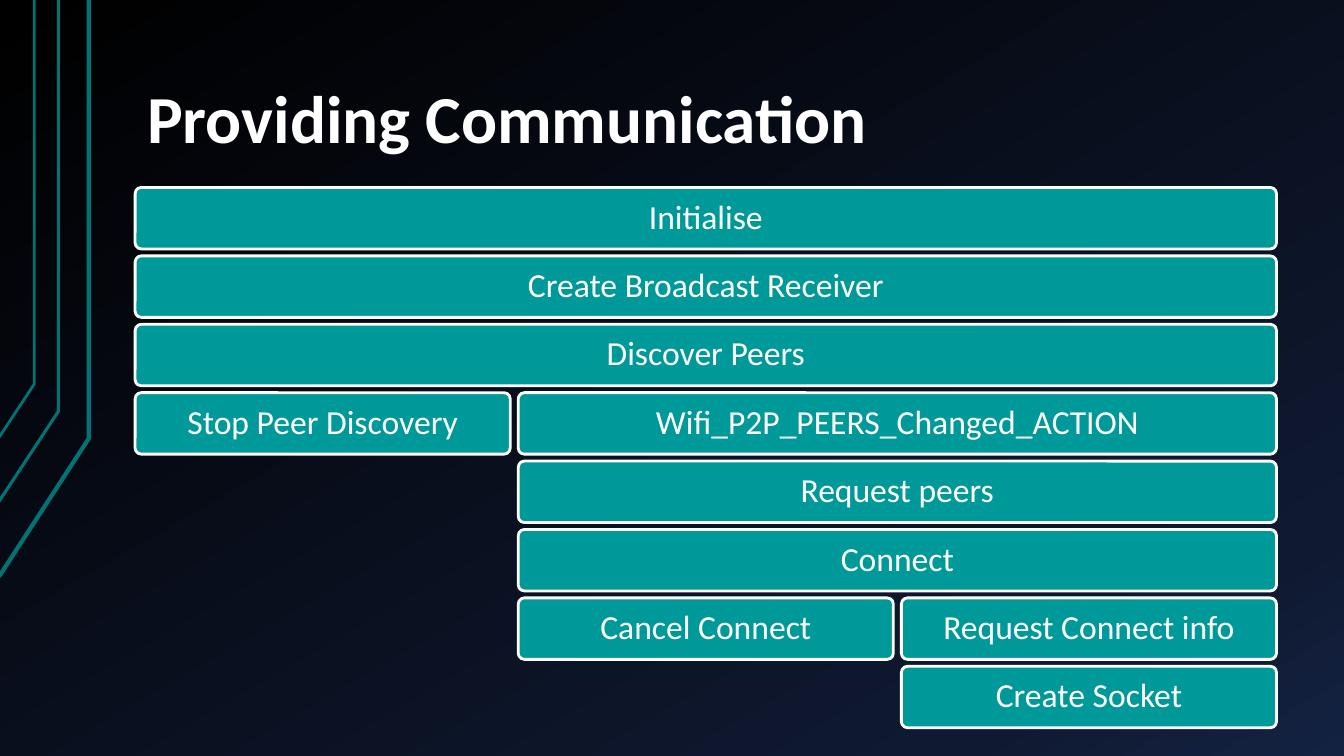
"""Build the 'Providing Communication' slide: a stepped block diagram on a dark gradient."""
from dataclasses import dataclass
from typing import Any

from lxml import etree
from pptx import Presentation
from pptx import util as u
from pptx.dml.color import RGBColor
from pptx.enum import shapes, text
from pptx.oxml import ns


@dataclass(frozen=True)
class Theme:
    font: str = "Calibri"
    white: str = "FFFFFF"
    block: str = "009999"
    accent: str = "007373"
    backdrop: tuple[tuple[int, str], ...] = ((0, "000000"), (85, "0F1931"), (100, "142242"))
    backdrop_angle: int = 300
    title_size: float = 48
    block_size: float = 24
    outline: float = 2


@dataclass(frozen=True)
class Block:
    label: str
    row: int
    column: int
    span: int


@dataclass(frozen=True)
class Trace:
    points: tuple[tuple[float, float], ...]
    weight: float


THEME = Theme()
LEFT, TOP = 1.34, 1.86
COLUMN_WIDTH, COLUMN_GAP = 3.72, 0.08
ROW_HEIGHT, ROW_PITCH = 0.61, 4.75 / 7

BLOCKS = (
    Block("Initialise", 0, 0, 3),
    Block("Create Broadcast Receiver", 1, 0, 3),
    Block("Discover Peers", 2, 0, 3),
    Block("Stop Peer Discovery", 3, 0, 1),
    Block("Wifi_P2P_PEERS_Changed_ACTION", 3, 1, 2),
    Block("Request peers", 4, 1, 2),
    Block("Connect", 5, 1, 2),
    Block("Cancel Connect", 6, 1, 1),
    Block("Request Connect info", 6, 2, 1),
    Block("Create Socket", 7, 2, 1),
)

TRACES = (
    Trace(((-0.01, 5.72), (0.88, 4.35), (0.88, 0)), 3),
    Trace(((-0.02, 4.99), (0.58, 4.08), (0.58, 0)), 2.25),
    Trace(((-0.01, 4.34), (0.34, 3.81), (0.34, 0)), 2),
)


def apply(target: Any, values: dict[str, Any]) -> None:
    """Set each named attribute on the target."""
    for name, value in values.items():
        setattr(target, name, value)


def set_outline(shape: Any, color: str, weight: float) -> None:
    """Give the shape a solid outline and no shadow."""
    shape.shadow.inherit = False
    shape.line.color.rgb = RGBColor.from_string(color)
    shape.line.width = u.Pt(weight)


def write_text(shape: Any, wording: str, size: float, bold: bool,
               alignment: Any, anchor: Any, insets: tuple[float, float]) -> None:
    """Write one formatted paragraph into the shape."""
    frame = shape.text_frame
    horizontal, vertical = map(u.Inches, insets)
    apply(frame, {
        "text": wording, "word_wrap": True, "auto_size": text.MSO_AUTO_SIZE.NONE,
        "vertical_anchor": anchor, "margin_left": horizontal, "margin_right": horizontal,
        "margin_top": vertical, "margin_bottom": vertical,
    })
    paragraph = frame.paragraphs[0]
    apply(paragraph, {"alignment": alignment, "line_spacing": 0.9})
    font = paragraph.runs[0].font
    apply(font, {"name": THEME.font, "size": u.Pt(size), "bold": bold})
    font.color.rgb = RGBColor.from_string(THEME.white)


def paint_background(slide: Any) -> None:
    """Fill the background with the three-stop gradient."""
    fill = slide.background.fill
    fill.gradient()
    fill.gradient_angle = THEME.backdrop_angle
    stops = slide.element.xpath(".//p:bg//a:gsLst")[0]
    for stop in list(stops):
        stops.remove(stop)
    for position, color in THEME.backdrop:
        stop = etree.SubElement(stops, ns.qn("a:gs"), pos=str(position * 1000))
        etree.SubElement(stop, ns.qn("a:srgbClr"), val=color)


def draw_trace(slide: Any, trace: Trace) -> None:
    """Draw one open accent line at the left edge."""
    start, *rest = [(u.Inches(x), u.Inches(y)) for x, y in trace.points]
    builder = slide.shapes.build_freeform(*start)
    builder.add_line_segments(rest, close=False)
    shape = builder.convert_to_shape()
    shape.fill.background()
    set_outline(shape, THEME.accent, trace.weight)


def draw_block(slide: Any, block: Block) -> None:
    """Draw one labelled block on the grid."""
    left = LEFT + block.column * (COLUMN_WIDTH + COLUMN_GAP)
    top = TOP + block.row * ROW_PITCH
    width = block.span * (COLUMN_WIDTH + COLUMN_GAP) - COLUMN_GAP
    shape = slide.shapes.add_shape(
        shapes.MSO_SHAPE.ROUNDED_RECTANGLE,
        u.Inches(left), u.Inches(top), u.Inches(width), u.Inches(ROW_HEIGHT))
    shape.adjustments[0] = 0.1
    shape.fill.solid()
    shape.fill.fore_color.rgb = RGBColor.from_string(THEME.block)
    set_outline(shape, THEME.white, THEME.outline)
    write_text(shape, block.label, THEME.block_size, False,
               text.PP_ALIGN.CENTER, text.MSO_ANCHOR.MIDDLE, (0.1, 0.1))


def main() -> None:
    """Assemble and save the presentation."""
    presentation = Presentation()
    apply(presentation, {"slide_width": u.Inches(13.33), "slide_height": u.Inches(7.5)})
    slide = presentation.slides.add_slide(presentation.slide_layouts.get_by_name("Title Only"))
    paint_background(slide)
    for trace in TRACES:
        draw_trace(slide, trace)
    title = slide.shapes.title
    apply(title, {"left": u.Inches(1.33), "top": u.Inches(0.3),
                  "width": u.Inches(11.33), "height": u.Inches(1.34)})
    write_text(title, "Providing Communication", THEME.title_size, True,
               text.PP_ALIGN.LEFT, text.MSO_ANCHOR.BOTTOM, (0.13, 0.07))
    for block in BLOCKS:
        draw_block(slide, block)
    presentation.save("out.pptx")


main()
